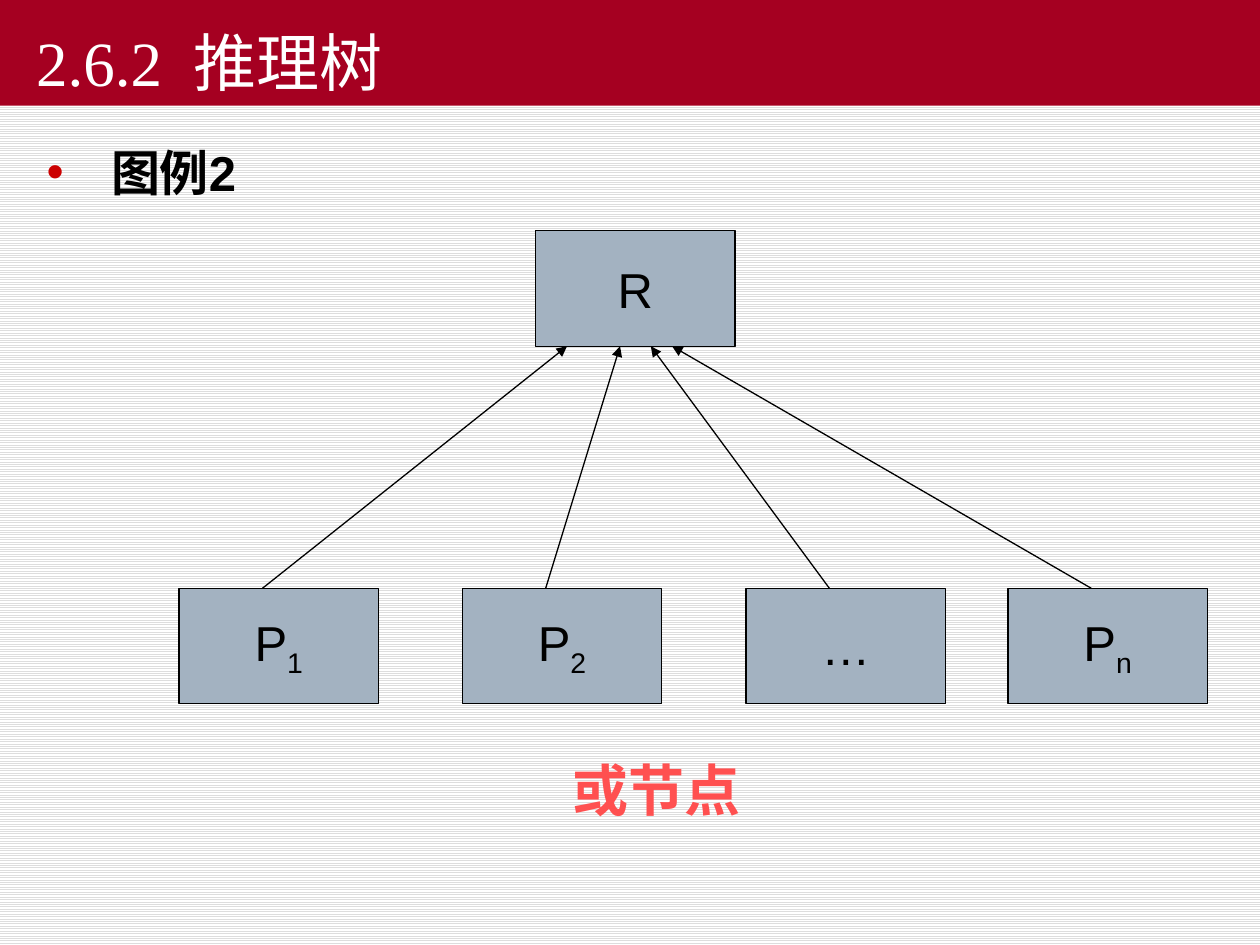
"""Build the inference tree slide with an OR node."""
from lxml import etree
from pptx import Presentation
from pptx.dml.color import RGBColor
from pptx.enum.dml import MSO_PATTERN
from pptx.enum.shapes import MSO_CONNECTOR, MSO_SHAPE
from pptx.enum.text import MSO_ANCHOR, MSO_AUTO_SIZE, PP_ALIGN
from pptx.oxml.ns import qn
from pptx.util import Cm, Pt

RECTANGLE = MSO_SHAPE.RECTANGLE
STRAIGHT = MSO_CONNECTOR.STRAIGHT
TOP, MIDDLE, BOTTOM = MSO_ANCHOR.TOP, MSO_ANCHOR.MIDDLE, MSO_ANCHOR.BOTTOM
LEFT, CENTER = PP_ALIGN.LEFT, PP_ALIGN.CENTER
LIGHT_HORIZONTAL = MSO_PATTERN.LIGHT_HORIZONTAL
FIT_SHAPE = MSO_AUTO_SIZE.SHAPE_TO_FIT_TEXT


def color(value):
    return RGBColor.from_string(value)


def write(box, text, subscript="", size=28, font="Arial", ink="000000",
          bold=False, align=LEFT, anchor=TOP, wrap=False):
    frame = box.text_frame
    frame.word_wrap = wrap
    frame.vertical_anchor = anchor
    para = frame.paragraphs[0]
    para.alignment = align
    for part in filter(None, (text, subscript)):
        span = para.add_run()
        span.text = part
        span.font.size = Pt(size)
        span.font.name = font
        span.font.bold = bold
        span.font.color.rgb = color(ink)
    if subscript:
        span.font._element.set("baseline", "-25000")
    return para


deck = Presentation()
deck.slide_width, deck.slide_height = Cm(25.4), Cm(19.05)
page = deck.slides.add_slide(deck.slide_layouts[6])
backdrop = page.background.fill
backdrop.patterned()
backdrop.pattern = LIGHT_HORIZONTAL
backdrop.fore_color.rgb = color("DDDDDD")
backdrop.back_color.rgb = color("FFFFFF")

body = page.shapes.add_textbox(Cm(0.69), Cm(2.51), Cm(24), Cm(15.01))
para = write(body, "图例2", bold=True, wrap=True)
para.line_spacing = 1.2
properties = para._p.get_or_add_pPr()
properties.set("marL", str(Cm(1.3)))
properties.set("indent", str(Cm(-1.3)))
bullet_color = etree.SubElement(properties, qn("a:buClr"))
etree.SubElement(bullet_color, qn("a:srgbClr"), val="CC0000")
etree.SubElement(properties, qn("a:buFont"), typeface="Arial")
etree.SubElement(properties, qn("a:buChar"), char="•")

node_width, node_height = 4.02, 2.33
root_top, leaf_top = 4.65, 11.86
nodes = [("R", "", 10.8, root_top), ("P", "1", 3.61, leaf_top),
         ("P", "2", 9.32, leaf_top), ("…", "", 15.04, leaf_top),
         ("P", "n", 20.32, leaf_top)]
tree = page.shapes.add_group_shape().shapes
for name, subscript, left, top in nodes:
    node = tree.add_shape(RECTANGLE, Cm(left), Cm(top), Cm(node_width), Cm(node_height))
    node.shadow.inherit = False
    node.fill.solid()
    node.fill.fore_color.rgb = color("A3B2C1")
    node.line.color.rgb = color("000000")
    node.line.width = Pt(0.75)
    write(node, name, subscript, align=CENTER, anchor=MIDDLE)

arrow_ends = [11.43, 12.5, 13.12, 13.55]
for (name, subscript, left, top), end in zip(nodes[1:], arrow_ends):
    arrow = tree.add_connector(STRAIGHT, Cm(left + 1.68), Cm(top),
                               Cm(end), Cm(root_top + node_height))
    arrow.line.color.rgb = color("000000")
    arrow.line.width = Pt(0.75)
    etree.SubElement(arrow.line._get_or_add_ln(), qn("a:tailEnd"), type="triangle")
    etree.SubElement(arrow._element.spPr, qn("a:effectLst"))

caption = page.shapes.add_textbox(Cm(11.3), Cm(15.11), Cm(3.91), Cm(1.63))
write(caption, "或节点", size=32, ink="FF5050", bold=True)
caption.text_frame.auto_size = FIT_SHAPE

banner = page.shapes.add_shape(RECTANGLE, 0, 0, deck.slide_width, Cm(2.13))
banner.shadow.inherit = False
banner.fill.solid()
banner.fill.fore_color.rgb = color("A50021")
banner.line.fill.background()
para = write(banner, "2.6.2  推理树", size=36, font="Times New Roman",
             ink="FFFFFF", anchor=BOTTOM, wrap=True)
para._p.get_or_add_pPr().set("indent", str(Cm(0.48)))

deck.save("out.pptx")
